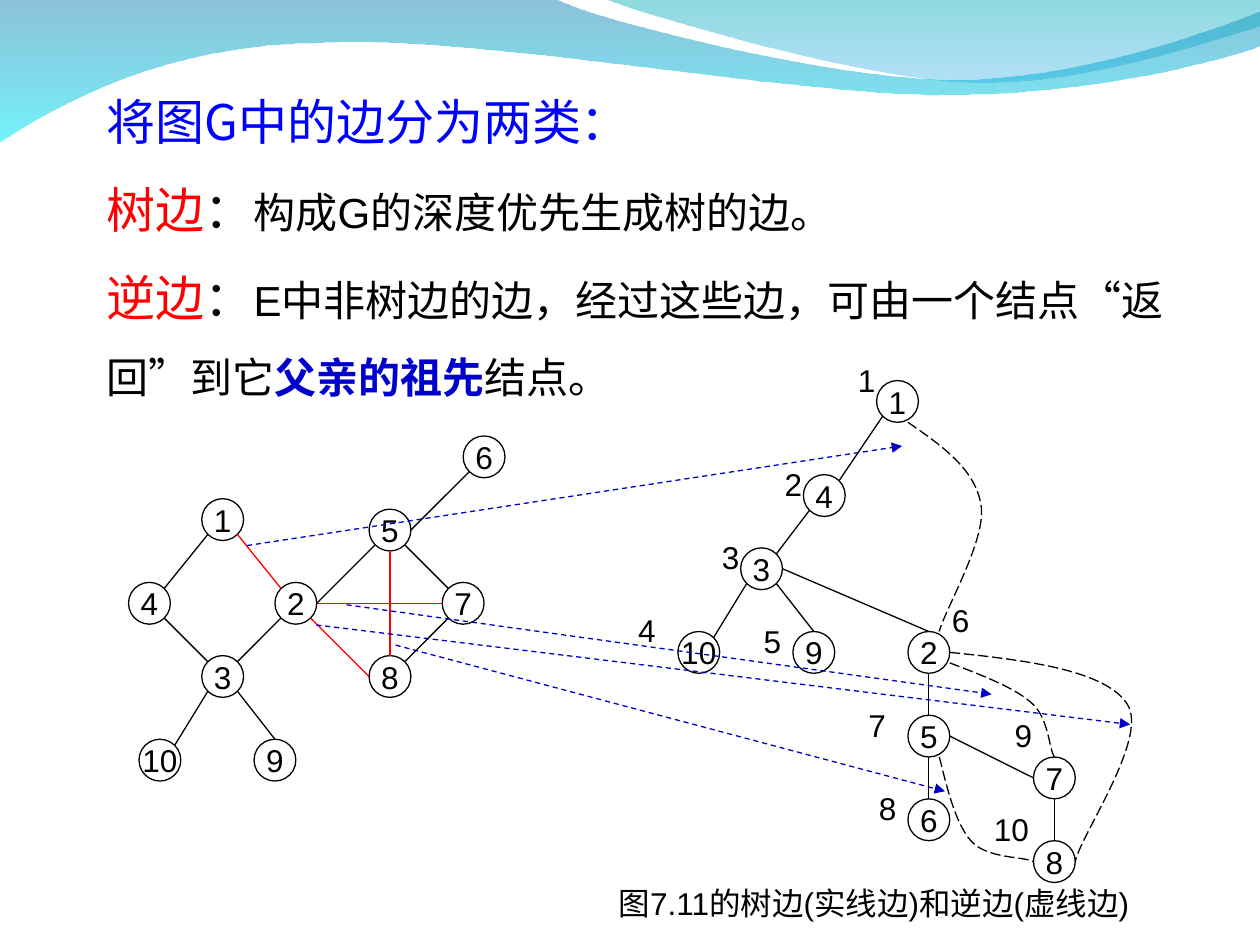
from pptx import Presentation
from pptx.dml.color import RGBColor
from pptx.enum.dml import MSO_LINE
from pptx.enum.shapes import MSO_CONNECTOR, MSO_SHAPE
from pptx.enum.text import MSO_ANCHOR, MSO_AUTO_SIZE, PP_ALIGN
from pptx.oxml.ns import qn
from pptx.util import Inches, Pt
from lxml.etree import SubElement

BLACK = RGBColor(0, 0, 0)
WHITE = RGBColor(255, 255, 255)
RED = RGBColor(255, 0, 0)
BLUE = RGBColor(0, 0, 255)
NAVY = RGBColor(0, 0, 0xCC)
WAVE_BACK = [(RGBColor(0, 0x79, 0xAF), 45), (RGBColor(0, 0xEB, 0xF8), 55)]
WAVE_FRONT = [(RGBColor(0, 0xAD, 0xB6), 45), (RGBColor(0, 0x9B, 0xE5), 30)]
LATIN, HAN = "Arial", "Noto Sans CJK SC"

# Both diagrams sit on grids of about twelve cells to the inch
CELL = 0.083
NODE = 4
DIAG = NODE / 2 * 0.5 ** 0.5
GRAPH_AT, TREE_AT = (1.02, 3.46), (5.38, 3.02)
SITES = {"N": (0, -2), "S": (0, 2), "W": (-2, 0), "E": (2, 0),
         "NW": (-DIAG, -DIAG), "NE": (DIAG, -DIAG),
         "SW": (-DIAG, DIAG), "SE": (DIAG, DIAG)}

# Node: column, row
GRAPH = {1: (7, 6), 4: (0, 14), 2: (14, 14), 3: (7, 21), 10: (1, 29),
         9: (12, 29), 5: (23, 7), 6: (32, 0), 7: (30, 14), 8: (23, 21)}
TREE = {1: (19, 0), 4: (12, 9), 3: (6, 16), 10: (0, 24), 9: (11, 24),
        2: (22, 24), 5: (22, 32), 6: (22, 40), 7: (34, 36), 8: (34, 44)}

# Edge: node, side, node, side
GRAPH_EDGES = [
    (1, "SW", 4, "NE"), (7, "SW", 8, "NE"), (6, "SW", 5, "E"),
    (5, "SW", 2, "E"), (5, "SE", 7, "NW"), (2, "SW", 3, "NE"),
    (4, "SE", 3, "NW"), (3, "SW", 10, "NE"), (3, "SE", 9, "N")]
GRAPH_BACK_EDGES = [(1, "SE", 2, "NW"), (8, "N", 5, "S"),
                    (2, "SE", 8, "W"), (2, "E", 7, "W")]
TREE_EDGES = [
    (1, "SW", 4, "NE"), (4, "SW", 3, "NE"), (3, "SW", 10, "NE"),
    (3, "SE", 9, "N"), (3, "E", 2, "N"), (2, "S", 5, "N"),
    (5, "S", 6, "N"), (5, "E", 7, "W"), (7, "S", 8, "N")]

# Curves: start point, then two controls and an end for each stretch
TREE_BACK_CURVES = [
    [(22, 4), (25.25, 6.25), (28.5, 8.5), (29, 12),
     (29.5, 15.25), (25.5, 22), (25, 24)],
    [(26, 27), (29.25, 28.25), (32.5, 29.5), (34, 31),
     (35.5, 32.5), (35.5, 35.25), (36, 36)],
    [(25, 36), (25.75, 39), (26.5, 42.25), (28, 44),
     (29.5, 45.75), (33, 45.5), (34, 46)],
    [(26, 26), (33.5, 26.75), (41, 27.75), (43, 31),
     (45, 34.25), (38.5, 43.5), (38, 46)]]
# Visiting order 1 to 10
ORDER_LABELS = [(16, -2.5), (9, 7.5), (3, 14.5), (-5, 21.5), (7, 22.5),
                (25, 20.5), (17, 30.5), (18, 38.5), (31, 31.5), (29, 40.5)]
# Arrows from a back edge of the graph to its curve in the tree, in inches
MATCHES = [((1.96, 4.33), (7.16, 3.54)), ((3.14, 5.12), (7.5, 6.28)),
           ((2.75, 4.8), (7.87, 5.51)), ((2.51, 4.96), (8.97, 5.75))]


def on_grid(origin, cell):
    return tuple(o + c * CELL for o, c in zip(origin, cell))


def style(r, size, color=BLACK, font=LATIN, bold=False):
    r.font.size, r.font.name, r.font.bold = Pt(size), font, bold
    r.font.color.rgb = color
    rPr = r.font._element
    rPr.set("lang", "zh-CN")
    SubElement(rPr, qn("a:ea")).set("typeface", HAN)


def add_text(s, at, width, height, paragraphs, spacing=None, wrap=True, align=None):
    """Each paragraph is a list of (text, style arguments)."""
    tf = s.shapes.add_textbox(*map(Inches, (*at, width, height))).text_frame
    tf.word_wrap = wrap
    tf.auto_size = MSO_AUTO_SIZE.SHAPE_TO_FIT_TEXT
    for i, runs in enumerate(paragraphs):
        p = tf.add_paragraph() if i else tf.paragraphs[0]
        p.line_spacing, p.alignment = spacing, align
        for text, *look in runs:
            r = p.add_run()
            r.text = text
            style(r, *look)


def add_outline(s, points, kinds, close):
    """Kinds holds one letter a stretch: L takes one point, C takes three."""
    start, *rest = [(Inches(x), Inches(y)) for x, y in points]
    builder = s.shapes.build_freeform(*start)
    builder.add_line_segments(rest, close=close)
    sp = builder.convert_to_shape()
    sp.shadow.inherit = False
    lines = iter(list(sp._element.iter(qn("a:lnTo"))))
    for kind in kinds:
        first = next(lines)
        if kind == "C":
            first.tag = qn("a:cubicBezTo")
            for extra in (next(lines), next(lines)):
                first.append(extra[0])
                extra.getparent().remove(extra)
    return sp


def add_wave(s, points, kinds, stops):
    sp = add_outline(s, points, kinds, True)
    sp.line.fill.background()
    sp.fill.gradient()
    sp.fill.gradient_angle = 270
    for stop, position, (color, alpha) in zip(sp.fill.gradient_stops, (0, 1), stops):
        stop.position, stop.color.rgb = position, color
        clr = stop._gs.find(qn("a:srgbClr"))
        SubElement(clr, qn("a:alpha")).set("val", str(alpha * 1000))


def add_back_curve(s, points):
    sp = add_outline(s, points, "CC", False)
    sp.fill.background()
    sp.line.color.rgb, sp.line.width = BLACK, Pt(0.75)
    sp.line.dash_style = MSO_LINE.LONG_DASH


def add_line(s, start, end, color=BLACK, arrow=False):
    c = s.shapes.add_connector(MSO_CONNECTOR.STRAIGHT, *map(Inches, (*start, *end)))
    c.line.color.rgb, c.line.width = color, Pt(0.75)
    if arrow:
        c.line.dash_style = MSO_LINE.DASH
        SubElement(c.line._get_or_add_ln(), qn("a:tailEnd")).set("type", "triangle")
    SubElement(c._element.spPr, qn("a:effectLst"))


def add_nodes(s, origin, nodes):
    size = Inches(NODE * CELL)
    for name, cell in nodes.items():
        x, y = map(Inches, on_grid(origin, cell))
        sp = s.shapes.add_shape(MSO_SHAPE.OVAL, x, y, size, size)
        sp.shadow.inherit = False
        sp.fill.solid()
        sp.fill.fore_color.rgb = WHITE
        sp.line.color.rgb, sp.line.width = BLACK, Pt(0.75)
        tf = sp.text_frame
        tf.text, tf.word_wrap = str(name), False
        tf.vertical_anchor = MSO_ANCHOR.MIDDLE
        p = tf.paragraphs[0]
        p.alignment = PP_ALIGN.CENTER
        style(p.runs[0], 18)


def add_edges(s, origin, nodes, edges, color=BLACK):
    def end(node, side):
        return on_grid(origin, [c + NODE / 2 + d for c, d in zip(nodes[node], SITES[side])])
    for a, a_side, b, b_side in edges:
        add_line(s, end(a, a_side), end(b, b_side), color)


def main():
    prs = Presentation()
    prs.slide_width, prs.slide_height = Inches(10), Inches(7.5)
    s = prs.slides.add_slide(prs.slide_layouts[6])

    # Waves along the top
    add_wave(s, [(0, -0.01), (4.4, -0.01),
                 (4.76, 0.17), (6.64, 0.63), (7.58, 0.63), (8.53, 0.63), (9.58, 0.26), (10, 0.09),
                 (10.01, 0.36),
                 (9.83, 0.44), (8.7, 0.76), (7.46, 0.75), (6.22, 0.75), (3.82, 0.28), (2.57, 0.34),
                 (1.29, 0.35), (0.46, 0.83), (-0.01, 1.13), (0, -0.01)], "LCCLCCCL", WAVE_BACK)
    add_wave(s, [(4.79, -0.01), (5.09, 0.11), (6.82, 0.62), (7.69, 0.65),
                 (8.56, 0.69), (9.61, 0.32), (10, 0.21),
                 (10, 0), (4.79, -0.01)], "CCLL", WAVE_FRONT)

    # Definitions
    add_text(s, (0.75, 0.44), 9.13, 2.8, [
        [("将图G中的边分为两类：", 28, BLUE, HAN)],
        [("树边", 28, RED, HAN), ("：", 28, BLACK, HAN), ("构成G的深度优先生成树的边。", 24)],
        [("逆边", 28, RED, HAN), ("：", 28, BLACK, HAN),
         ("E中非树边的边，经过这些边，可由一个结点“返回”到它", 24),
         ("父亲的祖先", 24, NAVY, LATIN, True), ("结点。", 24)]], spacing=1.5)

    # Depth-first tree
    add_nodes(s, TREE_AT, TREE)
    add_edges(s, TREE_AT, TREE, TREE_EDGES)
    for curve in TREE_BACK_CURVES:
        add_back_curve(s, [on_grid(TREE_AT, cell) for cell in curve])
    for order, cell in enumerate(ORDER_LABELS, 1):
        add_text(s, on_grid(TREE_AT, cell), 0.34 if order < 10 else 0.48, 0.4,
                 [[(str(order), 18)]], wrap=False, align=PP_ALIGN.CENTER)
    add_text(s, (4.53, 6.97), 4.81, 0.4,
             [[("图7.11的树边(实线边)和逆边(虚线边)", 18)]], wrap=False, align=PP_ALIGN.CENTER)

    # Graph G, and arrows to the matching curves
    add_nodes(s, GRAPH_AT, GRAPH)
    add_edges(s, GRAPH_AT, GRAPH, GRAPH_EDGES)
    add_edges(s, GRAPH_AT, GRAPH, GRAPH_BACK_EDGES, RED)
    for start, end in MATCHES:
        add_line(s, start, end, NAVY, arrow=True)

    prs.save("out.pptx")


if __name__ == "__main__":
    main()
